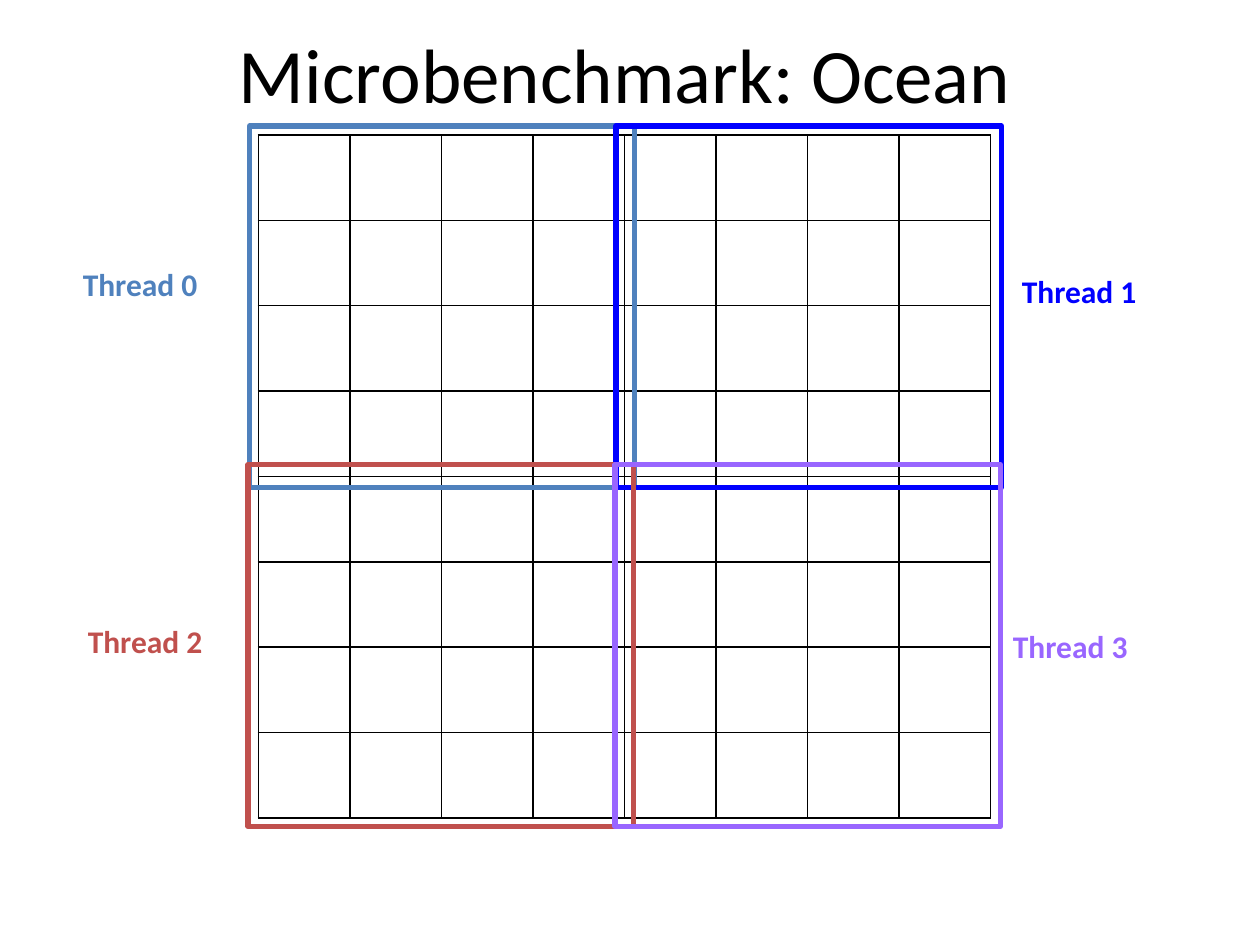
from lxml import etree
from pptx import Presentation
from pptx.dml.color import RGBColor
from pptx.enum.shapes import MSO_SHAPE
from pptx.enum.text import MSO_ANCHOR, MSO_AUTO_SIZE, PP_ALIGN
from pptx.oxml.ns import qn
from pptx.util import Cm, Pt

RECT = MSO_SHAPE.RECTANGLE
MIDDLE = MSO_ANCHOR.MIDDLE
LEFT, CENTER = PP_ALIGN.LEFT, PP_ALIGN.CENTER
GROW = MSO_AUTO_SIZE.SHAPE_TO_FIT_TEXT
NO_FIT = MSO_AUTO_SIZE.NONE

FONT = "Calibri"
COLORS = {
    "ink": "000000",
    "steel": "4F81BD",
    "blue": "0000FF",
    "red": "C0504D",
    "violet": "9966FF",
}
GRID = 8
ZONE_W, ZONE_H = 7.77, 7.29
LABEL_H = 1.02

# Color, zone left and top, label left, top and width
THREADS = [
    ("steel", (5.03, 2.54), (1.42, 5.21, 3.28)),
    ("blue", (12.42, 2.54), (20.35, 5.36, 3.28)),
    ("red", (5.0, 9.37), (1.52, 12.42, 3.4)),
    ("violet", (12.4, 9.37), (20.17, 12.52, 3.91)),
]


def rgb(name):
    return RGBColor.from_string(COLORS[name])


def write(frame, text, size=18, color="ink", bold=False, align=LEFT):
    frame.word_wrap = True
    para = frame.paragraphs[0]
    para.alignment = align
    run = para.add_run()
    run.text = text
    font = run.font
    font.name, font.size, font.bold = FONT, Pt(size), bold
    font.color.rgb = rgb(color)


def add_title(slide, text):
    title = slide.shapes.title
    title.left, title.top = Cm(0.64), Cm(0.2)
    title.width, title.height = Cm(23.93), Cm(2.54)
    title.text_frame.vertical_anchor = MIDDLE
    title.text_frame.auto_size = NO_FIT
    write(title.text_frame, text, size=44, align=CENTER)


def border(cell, color, width):
    props = cell._tc.get_or_add_tcPr()
    for index, side in enumerate(("lnL", "lnR", "lnT", "lnB")):
        line = etree.Element(qn(f"a:{side}"), w=str(Pt(width)))
        fill = etree.SubElement(line, qn("a:solidFill"))
        etree.SubElement(fill, qn("a:srgbClr"), val=COLORS[color])
        props.insert(index, line)


def add_grid(slide):
    frame = slide.shapes.add_table(
        GRID, GRID, Cm(5.21), Cm(2.72), Cm(14.76), Cm(13.77))
    table = frame.table
    table.first_row = table.horz_banding = False
    for cell in table.iter_cells():
        cell.fill.background()
        border(cell, "ink", 1)


def add_thread(slide, number, color, zone, label):
    group = slide.shapes.add_group_shape()
    # Outline of the part of the grid the thread works on
    left, top = zone
    box = group.shapes.add_shape(
        RECT, Cm(left), Cm(top), Cm(ZONE_W), Cm(ZONE_H))
    box.shadow.inherit = False
    box.fill.background()
    box.line.color.rgb = rgb(color)
    box.line.width = Pt(3)
    # Label beside it
    left, top, width = label
    note = group.shapes.add_textbox(
        Cm(left), Cm(top), Cm(width), Cm(LABEL_H))
    note.text_frame.auto_size = GROW
    write(note.text_frame, f"Thread {number}", color=color, bold=True)


def main():
    deck = Presentation()
    deck.slide_width, deck.slide_height = Cm(25.4), Cm(19.05)
    slide = deck.slides.add_slide(deck.slide_layouts[5])
    add_title(slide, "Microbenchmark: Ocean")
    add_grid(slide)
    for number, thread in enumerate(THREADS):
        add_thread(slide, number, *thread)
    deck.save("out.pptx")


if __name__ == "__main__":
    main()
